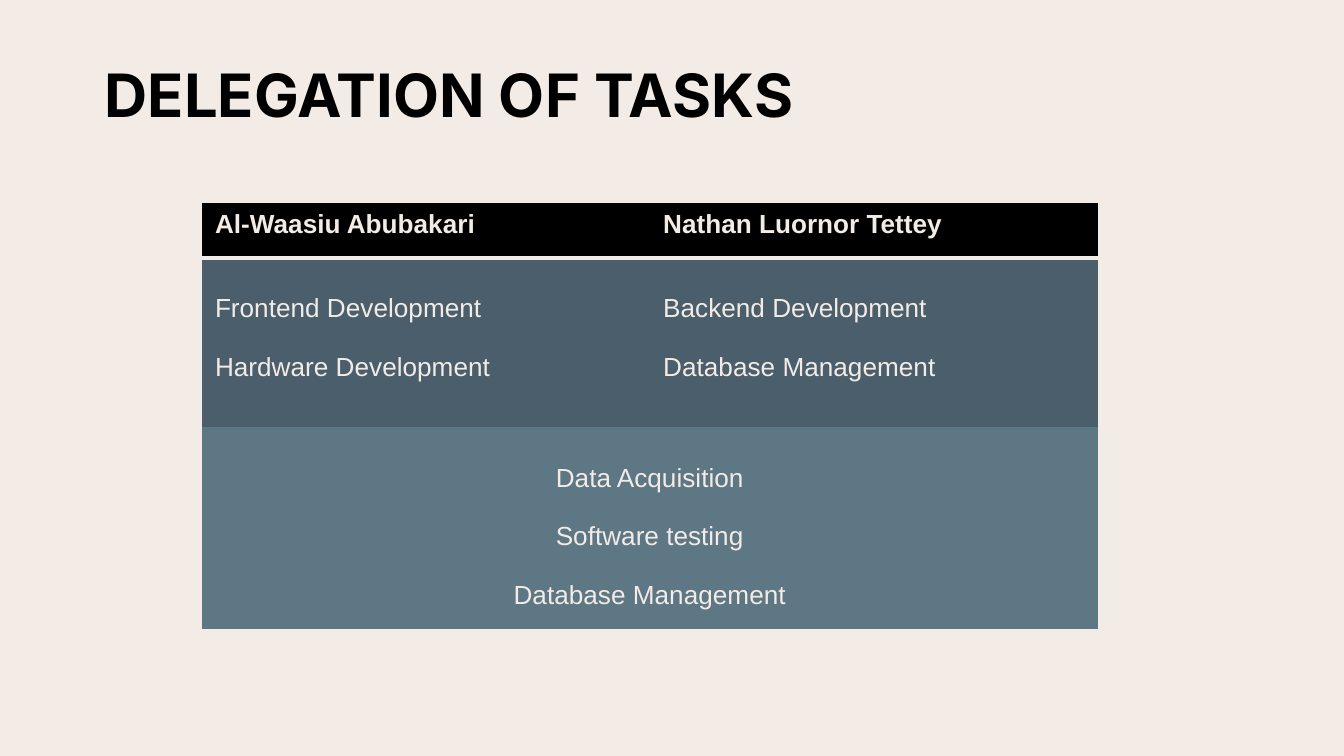
from lxml.etree import SubElement
from pptx import Presentation
from pptx.dml.color import RGBColor
from pptx.enum.text import MSO_ANCHOR, PP_ALIGN
from pptx.oxml.ns import qn
from pptx.util import Inches, Pt

TITLE = "DELEGATION OF TASKS"
PEOPLE = ["Al-Waasiu Abubakari", "Nathan Luornor Tettey"]
OWN_TASKS = [
    ["Frontend Development", "Hardware Development"],
    ["Backend Development", "Database Management"],
]
SHARED_TASKS = ["Data Acquisition", "Software testing", "Database Management"]

THEME = {
    "paper": "F2EBE6", "ink": "000000", "own": "4A5F6B", "shared": "5D7785",
    "title_font": "Inter", "body_font": "Arial",
    "title_size": 32, "body_size": 14, "rule_width": 2,
}
SLIDE_WIDTH = Inches(10)
SLIDE_HEIGHT = SLIDE_WIDTH * 9 // 16
ROW_HEIGHTS = [0.41, 1.26, 1.5]
TABLE_WIDTH = 6.67
NO_STYLE_NO_GRID = "{2D5ABB26-0587-4C30-8999-92F81FD0307C}"


def theme_color(name):
    return RGBColor.from_string(THEME[name])


def format_font(font, face, color, bold):
    font.name = THEME[f"{face}_font"]
    font.size = Pt(THEME[f"{face}_size"])
    font.bold = bold
    font.color.rgb = theme_color(color)


def add_title(slide):
    title = slide.shapes.title
    title.left, title.top = Inches(0.68), Inches(0.38)
    title.width, title.height = Inches(7.9), Inches(0.64)
    frame = title.text_frame
    frame.text = TITLE
    frame.word_wrap = True
    frame.vertical_anchor = MSO_ANCHOR.TOP
    paragraph = frame.paragraphs[0]
    paragraph.alignment = PP_ALIGN.LEFT
    paragraph.line_spacing = 1.0
    format_font(paragraph.runs[0].font, "title", "ink", True)


def fill_cell(cell, lines, color, bold=False, spacing=1.0, alignment=PP_ALIGN.LEFT):
    cell.fill.solid()
    cell.fill.fore_color.rgb = theme_color(color)
    cell.vertical_anchor = MSO_ANCHOR.TOP
    cell.text_frame.text = "\n".join(lines)
    for paragraph in cell.text_frame.paragraphs:
        paragraph.alignment = alignment
        paragraph.line_spacing = spacing
        format_font(paragraph.runs[0].font, "body", "paper", bold)


def add_bottom_rule(cell):
    properties = cell._tc.get_or_add_tcPr()
    line = SubElement(properties, qn("a:lnB"), w=str(Pt(THEME["rule_width"])))
    fill = SubElement(line, qn("a:solidFill"))
    SubElement(fill, qn("a:srgbClr"), val=THEME["paper"])
    properties.insert(0, line)


def add_task_table(slide):
    columns = len(PEOPLE)
    frame = slide.shapes.add_table(
        len(ROW_HEIGHTS), columns, Inches(1.5), Inches(1.51),
        Inches(TABLE_WIDTH), Inches(sum(ROW_HEIGHTS)))
    table = frame.table
    table.first_row = table.horz_banding = False
    for style in frame.element.iter(qn("a:tableStyleId")):
        style.text = NO_STYLE_NO_GRID
    for row, height in zip(table.rows, ROW_HEIGHTS):
        row.height = Inches(height)

    for column, (person, tasks) in enumerate(zip(PEOPLE, OWN_TASKS)):
        header = table.cell(0, column)
        fill_cell(header, [person], "ink", bold=True)
        add_bottom_rule(header)
        fill_cell(table.cell(1, column), tasks, "own", spacing=2.0)

    shared = table.cell(2, 0)
    shared.merge(table.cell(2, columns - 1))
    fill_cell(shared, SHARED_TASKS, "shared", spacing=2.0, alignment=PP_ALIGN.CENTER)


def main():
    presentation = Presentation()
    presentation.slide_width = SLIDE_WIDTH
    presentation.slide_height = SLIDE_HEIGHT
    slide = presentation.slides.add_slide(presentation.slide_layouts.get_by_name("Title Only"))
    slide.background.fill.solid()
    slide.background.fill.fore_color.rgb = theme_color("paper")
    add_title(slide)
    add_task_table(slide)
    presentation.save("out.pptx")


if __name__ == "__main__":
    main()
